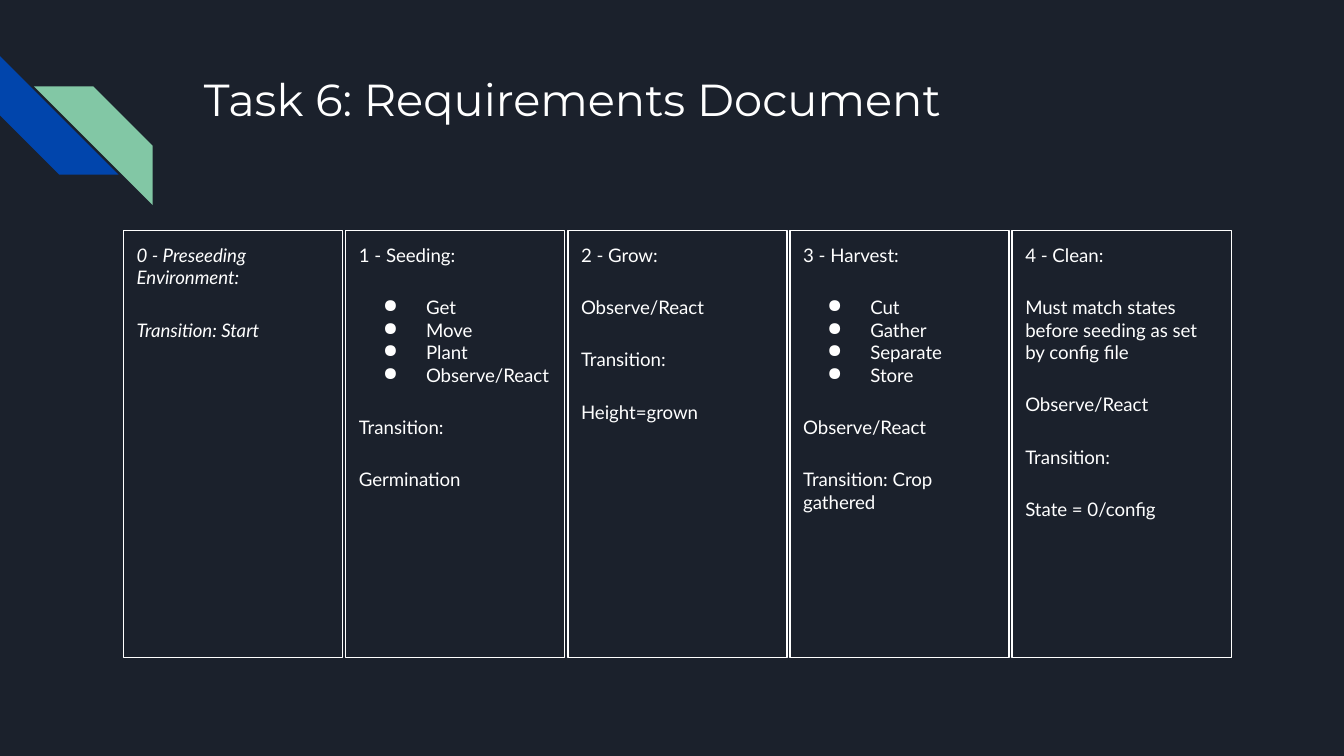
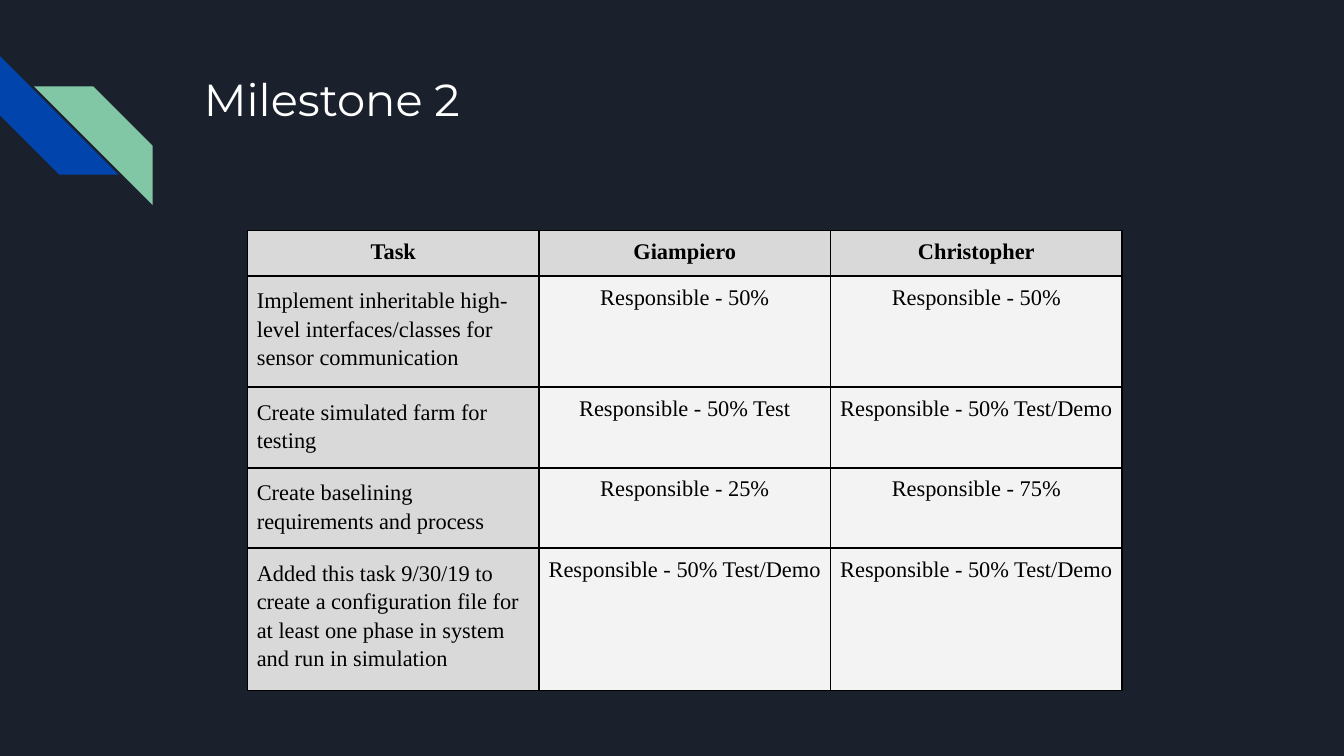
from dataclasses import dataclass

from lxml.etree import SubElement
from pptx import Presentation
from pptx.dml.color import RGBColor
from pptx.enum.shapes import MSO_SHAPE
from pptx.enum.text import MSO_ANCHOR, PP_ALIGN
from pptx.oxml.ns import qn
from pptx.util import Pt


@dataclass(frozen=True)
class Theme:
    background: str = "1B212C"
    text: str = "FFFFFF"
    blue: str = "0145AC"
    green: str = "82C7A5"
    table_text: str = "000000"
    label_fill: str = "D9D9D9"
    value_fill: str = "F3F3F3"
    title_font: str = "Montserrat"
    body_font: str = "Lato"
    table_font: str = "Times New Roman"
    title_size: int = 24
    body_size: int = 10
    table_size: int = 12


PHASES = [
    ["0 - Preseeding Environment:", "Transition: Start"],
    ["1 - Seeding:", ["Get", "Move", "Plant", "Observe/React"], "Transition:", "Germination"],
    ["2 - Grow:", "Observe/React", "Transition:", "Height=grown"],
    ["3 - Harvest:", ["Cut", "Gather", "Separate", "Store"], "Observe/React",
     "Transition: Crop gathered"],
    ["4 - Clean:", "Must match states before seeding as set by config file",
     "Observe/React", "Transition:", "State = 0/config"],
]

RESPONSIBILITIES = [
    ["Task", "Giampiero", "Christopher"],
    ["Implement inheritable high-level interfaces/classes for sensor communication",
     "Responsible - 50%", "Responsible - 50%"],
    ["Create simulated farm for testing",
     "Responsible - 50% Test", "Responsible - 50% Test/Demo"],
    ["Create baselining requirements and process",
     "Responsible - 25%", "Responsible - 75%"],
    ["Added this task 9/30/19 to create a configuration file for at least one phase "
     "in system and run in simulation",
     "Responsible - 50% Test/Demo", "Responsible - 50% Test/Demo"],
]


def set_margins(target, points):
    target.margin_left = target.margin_right = Pt(points)
    target.margin_top = target.margin_bottom = Pt(points)


class SlideBuilder:
    def __init__(self, deck, theme):
        self.deck = deck
        self.theme = theme
        self.slide = None

    def start_slide(self, title):
        self.slide = self.deck.slides.add_slide(self.deck.slide_layouts[6])
        self.fill(self.slide.background, self.theme.background)
        self.stripe(0, 30, 270, self.theme.blue)
        self.stripe(18.2, 46.3, 90, self.theme.green)
        self.title(title)

    def fill(self, target, color):
        target.fill.solid()
        target.fill.fore_color.rgb = RGBColor.from_string(color)

    def format_runs(self, para, font, size, color, bold=False, italic=False):
        for span in para.runs:
            span.font.name = font
            span.font.size = Pt(size)
            span.font.color.rgb = RGBColor.from_string(color)
            span.font.bold = bold
            span.font.italic = italic

    def stripe(self, left, top, rotation, color):
        shape = self.slide.shapes.add_shape(
            MSO_SHAPE.DIAGONAL_STRIPE, Pt(left), Pt(top), Pt(63.6), Pt(63.6))
        shape.rotation = rotation
        shape.shadow.inherit = False
        self.fill(shape, color)
        shape.line.fill.background()

    def title(self, text):
        box = self.slide.shapes.add_textbox(Pt(102.2), Pt(31), Pt(554.4), Pt(72))
        frame = box.text_frame
        frame.word_wrap = True
        set_margins(frame, 7.2)
        frame.text = text
        self.format_runs(frame.paragraphs[0], self.theme.title_font,
                         self.theme.title_size, self.theme.text)

    def card(self, left, top, width, height, blocks, italic=False):
        """Draw an outlined card; a nested list in blocks becomes bullets."""
        box = self.slide.shapes.add_shape(
            MSO_SHAPE.RECTANGLE, Pt(left), Pt(top), Pt(width), Pt(height))
        box.shadow.inherit = False
        box.fill.background()
        box.line.color.rgb = RGBColor.from_string(self.theme.text)
        box.line.width = Pt(0.75)
        frame = box.text_frame
        frame.word_wrap = True
        frame.vertical_anchor = MSO_ANCHOR.TOP
        set_margins(frame, 7.2)
        para = frame.paragraphs[0]
        for block_index, block in enumerate(blocks):
            bulleted = isinstance(block, list)
            for line_index, line in enumerate(block if bulleted else [block]):
                if block_index:
                    para = frame.add_paragraph()
                    para.space_before = Pt(0 if line_index else 16)
                para.text = line
                para.alignment = PP_ALIGN.LEFT
                self.format_runs(para, self.theme.body_font, self.theme.body_size,
                                 self.theme.text, italic=italic)
                if bulleted:
                    self.bullet(para)

    def bullet(self, para):
        properties = para._p.get_or_add_pPr()
        properties.set("marL", str(Pt(36)))
        properties.set("indent", str(Pt(-23)))
        color = SubElement(properties, qn("a:buClr"))
        SubElement(color, qn("a:srgbClr"), val=self.theme.text)
        SubElement(properties, qn("a:buChar"), char="●")

    def table(self, left, top, column_width, row_heights, rows):
        columns = len(rows[0])
        table = self.slide.shapes.add_table(
            len(rows), columns, Pt(left), Pt(top),
            Pt(column_width * columns), Pt(sum(row_heights))).table
        table.first_row = table.horz_banding = False
        for column in table.columns:
            column.width = Pt(column_width)
        for row_index, (height, values) in enumerate(zip(row_heights, rows)):
            table.rows[row_index].height = Pt(height)
            for column_index, value in enumerate(values):
                self.cell(table.cell(row_index, column_index), value,
                          header=row_index == 0, task=column_index == 0)

    def cell(self, cell, value, header, task):
        set_margins(cell, 5)
        self.borders(cell)
        self.fill(cell, self.theme.label_fill if header or task else self.theme.value_fill)
        para = cell.text_frame.paragraphs[0]
        para.text = value
        if task and not header:
            para.alignment = PP_ALIGN.LEFT
            para.line_spacing = 1.15
        else:
            para.alignment = PP_ALIGN.CENTER
        self.format_runs(para, self.theme.table_font, self.theme.table_size,
                         self.theme.table_text, bold=header)

    def borders(self, cell):
        properties = cell._tc.get_or_add_tcPr()
        for side in ("lnL", "lnR", "lnT", "lnB"):
            line = SubElement(properties, qn(f"a:{side}"), w=str(Pt(1)))
            solid = SubElement(line, qn("a:solidFill"))
            SubElement(solid, qn("a:srgbClr"), val=self.theme.table_text)


def main():
    deck = Presentation()
    deck.slide_width, deck.slide_height = Pt(720), Pt(405)
    builder = SlideBuilder(deck, Theme())

    builder.start_slide("Task 6: Requirements Document")
    for index, phase in enumerate(PHASES):
        builder.card(66.2 + 119 * index, 123.4, 117.4, 229, phase, italic=index == 0)

    builder.start_slide("Milestone 2")
    builder.table(132.6, 123.4, 156.2, [23, 55, 40, 40, 71], RESPONSIBILITIES)

    deck.save("out.pptx")


if __name__ == "__main__":
    main()
